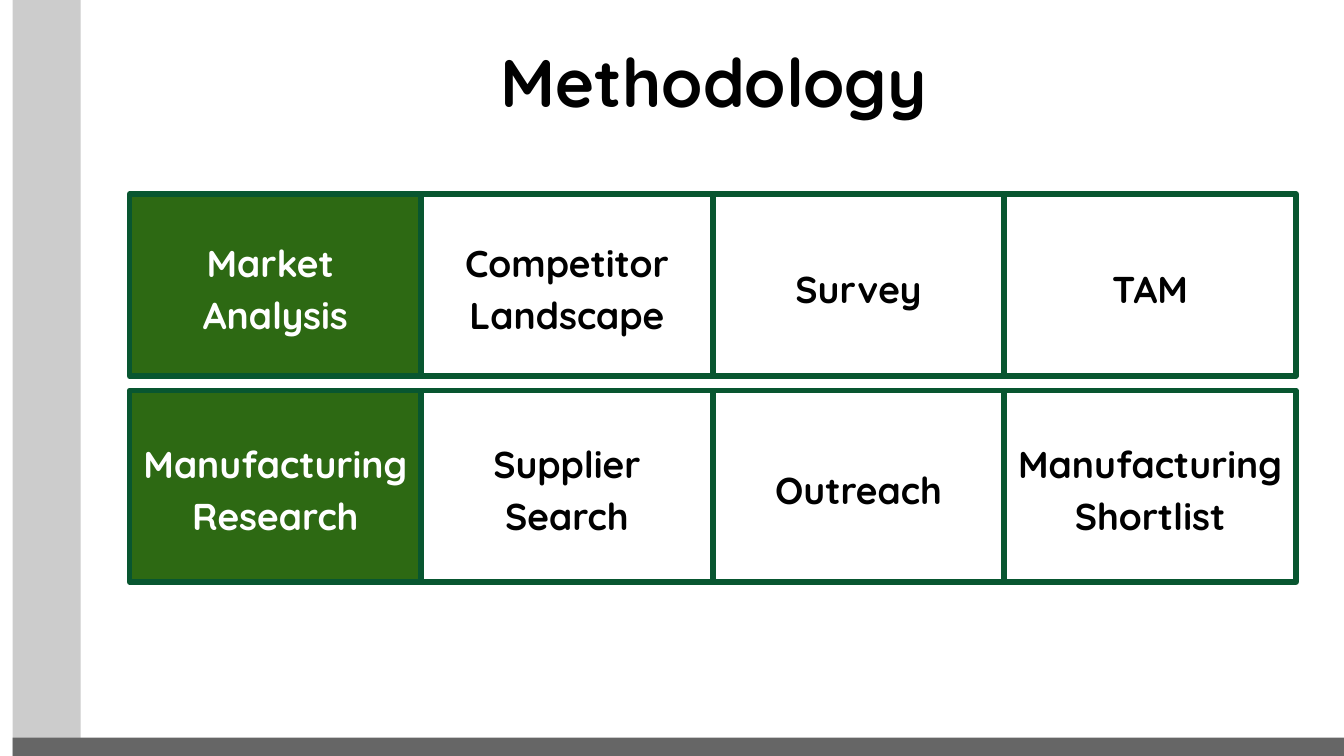
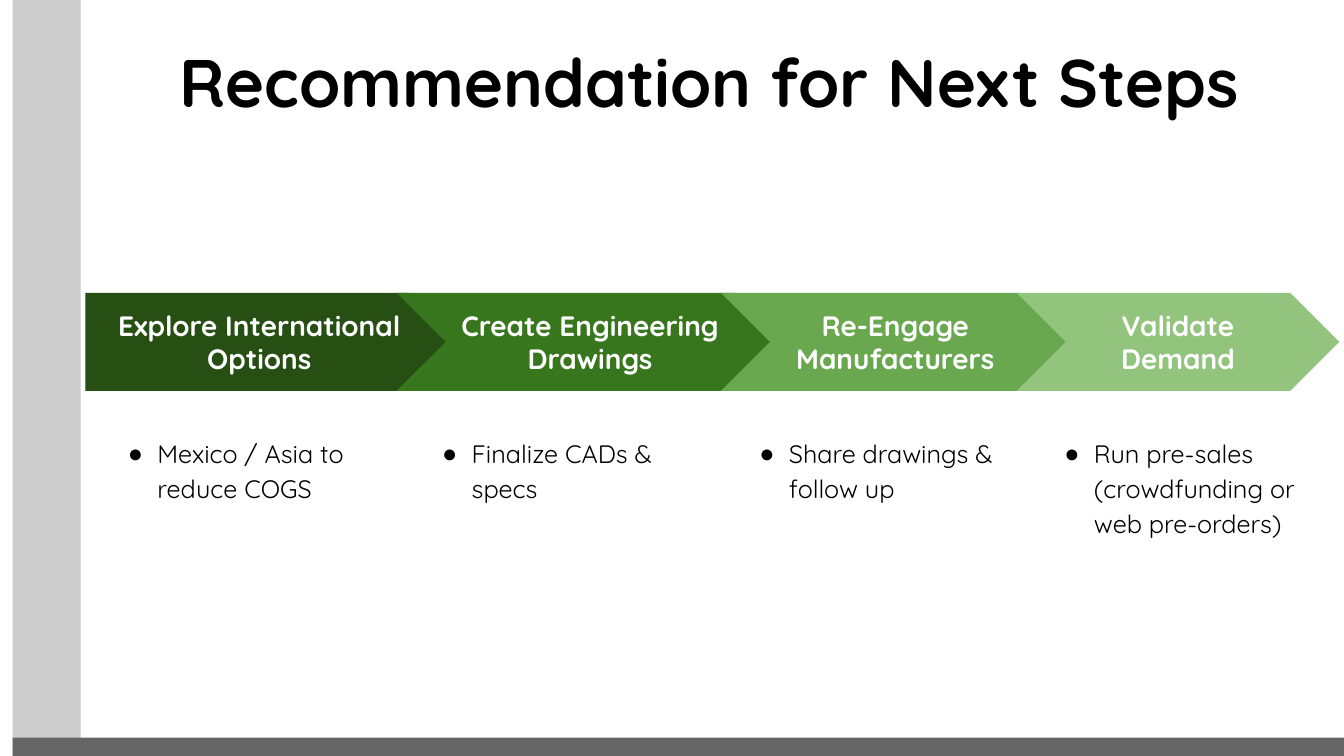
"""Build the methodology grid and the next-steps roadmap slides."""
from dataclasses import dataclass

from lxml import etree
from pptx import Presentation
from pptx.dml.color import RGBColor
from pptx.enum.shapes import MSO_SHAPE
from pptx.enum.text import MSO_ANCHOR, MSO_AUTO_SIZE, PP_ALIGN
from pptx.oxml.ns import qn
from pptx.presentation import Presentation as Deck
from pptx.shapes.autoshape import Shape
from pptx.slide import Slide
from pptx.util import Cm, Pt

RECTANGLE = MSO_SHAPE.RECTANGLE
PENTAGON = MSO_SHAPE.PENTAGON
CHEVRON = MSO_SHAPE.CHEVRON
TOP = MSO_ANCHOR.TOP
MIDDLE = MSO_ANCHOR.MIDDLE
BOTTOM = MSO_ANCHOR.BOTTOM
LEFT = PP_ALIGN.LEFT
CENTER = PP_ALIGN.CENTER
NO_AUTOFIT = MSO_AUTO_SIZE.NONE
COMPARISON_LAYOUT = 4
TITLE_ONLY_LAYOUT = 5


@dataclass(frozen=True)
class Theme:
    font: str = "Quicksand"
    ink: str = "000000"
    paper: str = "FFFFFF"
    side_band: str = "CCCCCC"
    bottom_band: str = "666666"
    heading_fill: str = "2D6913"
    grid_line: str = "085630"
    title_size: int = 72
    cell_size: int = 40
    step_size: int = 30
    list_size: int = 27
    grid_line_width: int = 6
    line_spacing: float = 1.15
    inset: float = 0.51
    bullet: str = "●"
    bullet_margin: float = 1.27
    bullet_hang: float = 1.12


@dataclass(frozen=True)
class Area:
    left: float
    top: float
    width: float
    height: float


@dataclass(frozen=True)
class TextStyle:
    size: int
    color: str
    bold: bool = True
    align: PP_ALIGN = CENTER
    anchor: MSO_ANCHOR = MIDDLE
    spacing: float = 1.0


@dataclass(frozen=True)
class GridRow:
    top: float
    height: float
    labels: tuple[str, ...]


@dataclass(frozen=True)
class Step:
    label: str
    detail: str
    fill: str
    arrow_left: float
    arrow_width: float
    list_left: float
    list_width: float


THEME = Theme()
SLIDE_WIDTH, SLIDE_HEIGHT = 50.8, 28.58
BAND_LEFT = 0.48
BANDS = (
    (Area(BAND_LEFT, 0, 2.57, SLIDE_HEIGHT), THEME.side_band),
    (Area(BAND_LEFT, 27.89, SLIDE_WIDTH - BAND_LEFT, 0.69), THEME.bottom_band),
)
GRID_LEFT, CELL_WIDTH = 4.9, 11.02
GRID_ROWS = (
    GridRow(7.34, 6.88, ("Market \nAnalysis", "Competitor Landscape", "Survey", "TAM")),
    GridRow(14.76, 7.24, ("Manufacturing Research", "Supplier Search", "Outreach",
                          "Manufacturing Shortlist")),
)
ARROW_TOP, ARROW_HEIGHT = 11.07, 3.71
LIST_TOP, LIST_HEIGHT = 15.9, 12.6
STEPS = (
    Step("Explore International Options", "Mexico / Asia to reduce COGS",
         "274E13", 3.23, 14.07, 4.17, 10.69),
    Step("Create Engineering Drawings", "Finalize CADs & specs",
         "38761D", 14.99, 14.63, 16.05, 11.46),
    Step("Re-Engage Manufacturers", "Share drawings & follow up",
         "6AA84F", 27.25, 13.18, 28.04, 11.58),
    Step("Validate Demand", "Run pre-sales (crowdfunding or web pre-orders)",
         "93C47D", 38.43, 12.19, 39.57, 10.87),
)


def place(box: Shape, area: Area) -> None:
    """Move and size a box."""
    box.left, box.top = Cm(area.left), Cm(area.top)
    box.width, box.height = Cm(area.width), Cm(area.height)


def write(box: Shape, text: str, style: TextStyle) -> None:
    """Set the text of a box and format its runs."""
    frame = box.text_frame
    frame.text = text
    frame.word_wrap = True
    frame.auto_size = NO_AUTOFIT
    frame.vertical_anchor = style.anchor
    frame.margin_left = frame.margin_right = Cm(THEME.inset)
    frame.margin_top = frame.margin_bottom = Cm(THEME.inset)
    for para in frame.paragraphs:
        para.alignment = style.align
        para.line_spacing = style.spacing
        para.space_before = Pt(0)
        for span in para.runs:
            span.font.name = THEME.font
            span.font.size = Pt(style.size)
            span.font.bold = style.bold
            span.font.color.rgb = RGBColor.from_string(style.color)


def add_bullets(box: Shape) -> None:
    """Give every paragraph of a box a hanging bullet."""
    for para in box.text_frame.paragraphs:
        properties = para._p.get_or_add_pPr()
        properties.set("marL", str(Cm(THEME.bullet_margin)))
        properties.set("indent", str(-Cm(THEME.bullet_hang)))
        color = etree.SubElement(properties, qn("a:buClr"))
        etree.SubElement(color, qn("a:srgbClr"), val=THEME.ink)
        etree.SubElement(properties, qn("a:buChar"), char=THEME.bullet)


def add_box(page: Slide, kind: MSO_SHAPE, area: Area, fill: str | None = None) -> Shape:
    """Draw a shape without shadow or outline."""
    box = page.shapes.add_shape(kind, Cm(area.left), Cm(area.top),
                                Cm(area.width), Cm(area.height))
    box.shadow.inherit = False
    box.line.fill.background()
    if fill is None:
        box.fill.background()
    else:
        box.fill.solid()
        box.fill.fore_color.rgb = RGBColor.from_string(fill)
    return box


def add_page(deck: Deck, layout: int, title: str, area: Area, anchor: MSO_ANCHOR) -> Slide:
    """Add a slide with its title in place."""
    page = deck.slides.add_slide(deck.slide_layouts[layout])
    place(page.shapes.title, area)
    write(page.shapes.title, title, TextStyle(THEME.title_size, THEME.ink, anchor=anchor))
    return page


def move_bands_to_master(deck: Deck, page: Slide) -> None:
    """Draw the shared bands and hand them to the slide master."""
    tree = deck.slide_master.shapes.element
    for number, (area, fill) in enumerate(BANDS):
        band = add_box(page, RECTANGLE, area, fill).element
        band.nvSpPr.cNvPr.set("id", str(100 + number))
        tree.insert(2 + number, band)


def draw_grid(page: Slide) -> None:
    """Draw the rows of method cells, each led by a filled heading."""
    for row in GRID_ROWS:
        for column, label in enumerate(row.labels):
            heading = column == 0
            area = Area(GRID_LEFT + column * CELL_WIDTH, row.top, CELL_WIDTH, row.height)
            cell = add_box(page, RECTANGLE, area, THEME.heading_fill if heading else None)
            cell.line.color.rgb = RGBColor.from_string(THEME.grid_line)
            cell.line.width = Pt(THEME.grid_line_width)
            color = THEME.paper if heading else THEME.ink
            write(cell, label, TextStyle(THEME.cell_size, color, spacing=THEME.line_spacing))


def draw_steps(page: Slide) -> None:
    """Draw the chain of arrows with a list under each one."""
    arrow_style = TextStyle(THEME.step_size, THEME.paper)
    list_style = TextStyle(THEME.list_size, THEME.ink, False, LEFT, TOP, THEME.line_spacing)
    for number, step in enumerate(STEPS, start=1):
        area = Area(step.arrow_left, ARROW_TOP, step.arrow_width, ARROW_HEIGHT)
        arrow = add_box(page, PENTAGON if number == 1 else CHEVRON, area, step.fill)
        write(arrow, step.label, arrow_style)
        details = page.placeholders[number]
        place(details, Area(step.list_left, LIST_TOP, step.list_width, LIST_HEIGHT))
        write(details, step.detail, list_style)
        add_bullets(details)


def main() -> None:
    """Build and save the deck."""
    deck = Presentation()
    deck.slide_width, deck.slide_height = Cm(SLIDE_WIDTH), Cm(SLIDE_HEIGHT)

    methodology = add_page(deck, TITLE_ONLY_LAYOUT, "Methodology",
                           Area(GRID_LEFT, 1.02, 44.17, 4.06), MIDDLE)
    move_bands_to_master(deck, methodology)
    draw_grid(methodology)

    next_steps = add_page(deck, COMPARISON_LAYOUT, "Recommendation for Next Steps",
                          Area(2.84, 1.02, 47.96, 4.06), BOTTOM)
    draw_steps(next_steps)
    deck.save("out.pptx")


if __name__ == "__main__":
    main()
